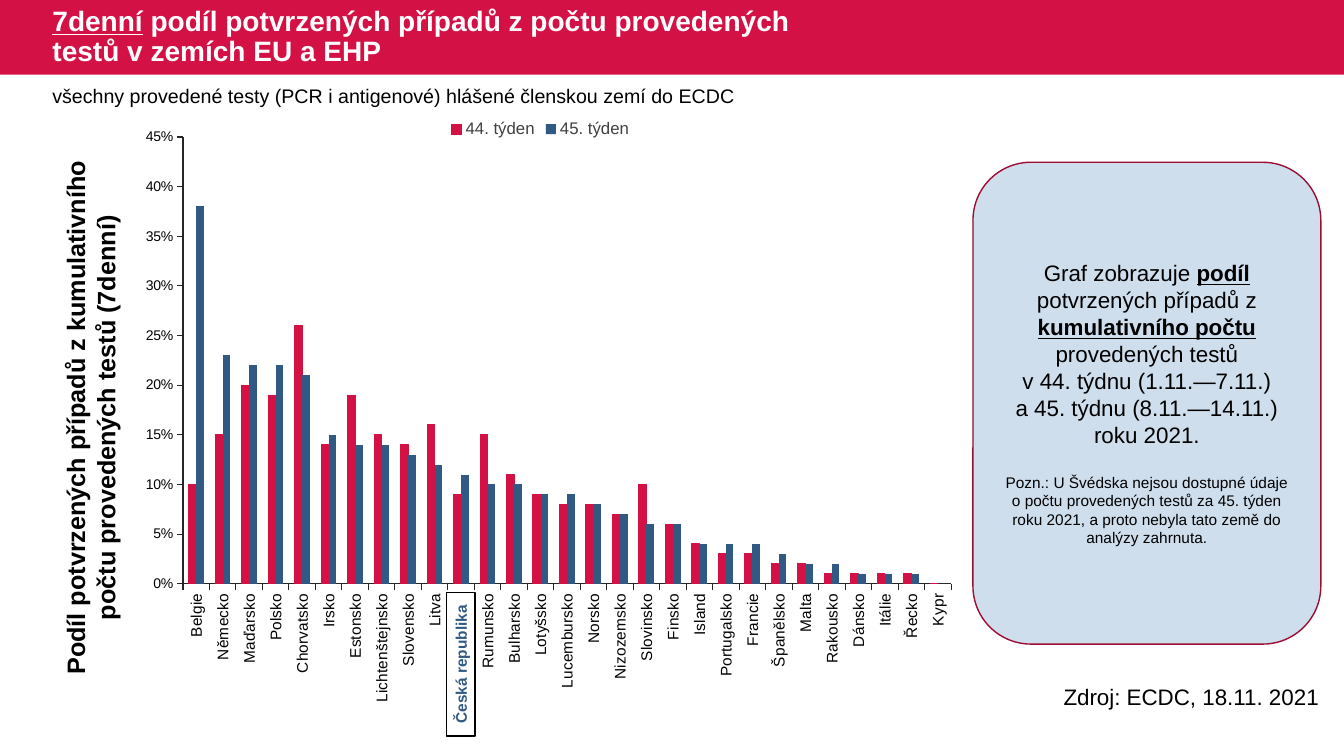
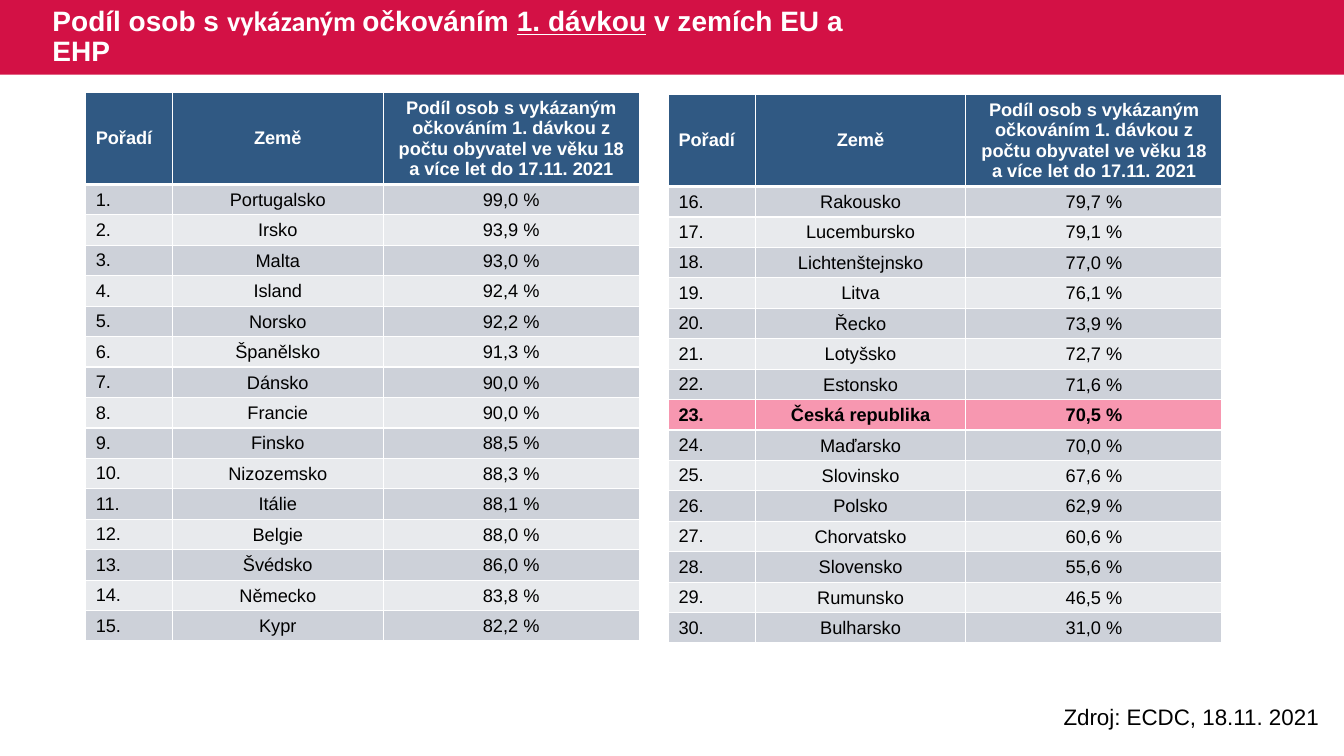
from dataclasses import dataclass
from typing import NamedTuple, Optional

from lxml import etree
from pptx import Presentation
from pptx.chart.data import CategoryChartData
from pptx.dml.color import RGBColor
from pptx.enum.chart import XL_CHART_TYPE, XL_LEGEND_POSITION, XL_TICK_MARK
from pptx.enum.shapes import MSO_SHAPE
from pptx.enum.text import MSO_ANCHOR, MSO_AUTO_SIZE, PP_ALIGN
from pptx.oxml import parse_xml
from pptx.oxml.ns import nsdecls, qn
from pptx.util import Inches, Pt

LEFT, CENTER = PP_ALIGN.LEFT, PP_ALIGN.CENTER
MIDDLE = MSO_ANCHOR.MIDDLE
COLORS = {
    "red": "D31145", "dark_red": "9C0D33", "blue": "305983", "pale_blue": "CFDEED",
    "band_dark": "CDD1D9", "band_light": "E8EAED", "highlight": "F797B0",
    "white": "FFFFFF", "black": "000000", "axis": "262626", "legend": "404040",
}
FONT = "Arial"
SOURCE = "Zdroj: ECDC, 18.11. 2021"
HOME = "Česká republika"
TITLE_ONLY_LAYOUT = 5
BAND_HEIGHT = 0.74


class Piece(NamedTuple):
    text: str
    bold: bool = False
    underline: bool = False
    font: str = FONT


class Box(NamedTuple):
    left: float
    top: float
    width: float
    height: float

    def lengths(self) -> tuple:
        return tuple(Inches(value) for value in self)


class Infection(NamedTuple):
    country: str
    week_44: int
    week_45: int


class Vaccination(NamedTuple):
    country: str
    share: str


@dataclass
class Ranking:
    left: float
    top: float
    first_rank: int
    rows: list[Vaccination]


INFECTIONS = [Infection(*row) for row in [
    ("Belgie", 10, 38), ("Německo", 15, 23), ("Maďarsko", 20, 22), ("Polsko", 19, 22),
    ("Chorvatsko", 26, 21), ("Irsko", 14, 15), ("Estonsko", 19, 14),
    ("Lichtenštejnsko", 15, 14), ("Slovensko", 14, 13), ("Litva", 16, 12),
    (HOME, 9, 11), ("Rumunsko", 15, 10), ("Bulharsko", 11, 10), ("Lotyšsko", 9, 9),
    ("Lucembursko", 8, 9), ("Norsko", 8, 8), ("Nizozemsko", 7, 7), ("Slovinsko", 10, 6),
    ("Finsko", 6, 6), ("Island", 4, 4), ("Portugalsko", 3, 4), ("Francie", 3, 4),
    ("Španělsko", 2, 3), ("Malta", 2, 2), ("Rakousko", 1, 2), ("Dánsko", 1, 1),
    ("Itálie", 1, 1), ("Řecko", 1, 1), ("Kypr", 0, 0),
]]
VACCINATIONS = [Vaccination(*row) for row in [
    ("Portugalsko", "99,0 %"), ("Irsko", "93,9 %"), ("Malta", "93,0 %"),
    ("Island", "92,4 %"), ("Norsko", "92,2 %"), ("Španělsko", "91,3 %"),
    ("Dánsko", "90,0 %"), ("Francie", "90,0 %"), ("Finsko", "88,5 %"),
    ("Nizozemsko", "88,3 %"), ("Itálie", "88,1 %"), ("Belgie", "88,0 %"),
    ("Švédsko", "86,0 %"), ("Německo", "83,8 %"), ("Kypr", "82,2 %"),
    ("Rakousko", "79,7 %"), ("Lucembursko", "79,1 %"), ("Lichtenštejnsko", "77,0 %"),
    ("Litva", "76,1 %"), ("Řecko", "73,9 %"), ("Lotyšsko", "72,7 %"),
    ("Estonsko", "71,6 %"), (HOME, "70,5 %"), ("Maďarsko", "70,0 %"),
    ("Slovinsko", "67,6 %"), ("Polsko", "62,9 %"), ("Chorvatsko", "60,6 %"),
    ("Slovensko", "55,6 %"), ("Rumunsko", "46,5 %"), ("Bulharsko", "31,0 %"),
]]
RANKINGS = [
    Ranking(0.85, 0.92, 1, VACCINATIONS[:15]),
    Ranking(6.63, 0.94, 16, VACCINATIONS[15:]),
]
TABLE_HEADER = ("Pořadí", "Země", "Podíl osob s vykázaným očkováním 1. dávkou z počtu "
                "obyvatel ve věku 18 a více let do 17.11. 2021")
COLUMN_WIDTHS = (0.86, 2.09, 2.54)
HEADER_HEIGHT, ROW_HEIGHT = 0.91, 0.3


def rgb(name: str) -> RGBColor:
    return RGBColor.from_string(COLORS[name])


def style_font(font, size: float, color: str, name: str = FONT, bold: bool = False) -> None:
    font.size, font.name, font.bold = Pt(size), name, bold
    font.color.rgb = rgb(color)


def write(paragraph, *pieces: Piece, size: float, color: str = "black",
          align: PP_ALIGN = LEFT, line_spacing: Optional[float] = None,
          space_before: float = 0) -> None:
    paragraph.alignment = align
    paragraph.space_before = Pt(space_before)
    if line_spacing:
        paragraph.line_spacing = line_spacing
    for piece in pieces:
        run = paragraph.add_run()
        run.text = piece.text
        style_font(run.font, size, color, piece.font, piece.bold)
        run.font.underline = piece.underline


def add_text(slide, box: Box, piece: Piece, rotation: float = 0, **text_format) -> None:
    shape = slide.shapes.add_textbox(*box.lengths())
    shape.rotation = rotation
    shape.text_frame.word_wrap = True
    write(shape.text_frame.paragraphs[0], piece, **text_format)


def add_panel(slide, kind: MSO_SHAPE, box: Box, fill: str, line: Optional[str] = None):
    shape = slide.shapes.add_shape(kind, *box.lengths())
    shape.shadow.inherit = False
    shape.fill.solid()
    shape.fill.fore_color.rgb = rgb(fill)
    if line:
        shape.line.color.rgb = rgb(line)
        shape.line.width = Pt(1)
    else:
        shape.line.fill.background()
    shape.text_frame.word_wrap = True
    shape.text_frame.vertical_anchor = MIDDLE
    return shape


def prepare_layout(presentation, slide) -> None:
    """Put the red band and the title position into the layout of the slide."""
    layout = slide.slide_layout
    width = presentation.slide_width.inches
    band = add_panel(slide, MSO_SHAPE.RECTANGLE, Box(0, 0, width, BAND_HEIGHT), "red")
    layout.shapes.element.insert(2, band.element)
    title = next(item for item in layout.placeholders if item.placeholder_format.idx == 0)
    title.left, title.top, title.width, title.height = Box(
        0.42, 0, 8.16, BAND_HEIGHT).lengths()


def set_title(slide, *pieces: Piece) -> None:
    frame = slide.shapes.title.text_frame
    frame.auto_size = MSO_AUTO_SIZE.NONE
    frame.vertical_anchor = MIDDLE
    write(frame.paragraphs[0], *pieces, size=20, color="white", line_spacing=0.9)


def add_source(slide, top: float) -> None:
    add_text(slide, Box(10.45, top, 2.83, 0.37), Piece(SOURCE), size=16)


def style_axis(axis, size: float) -> None:
    axis.has_major_gridlines = False
    axis.major_tick_mark = XL_TICK_MARK.OUTSIDE
    axis.minor_tick_mark = XL_TICK_MARK.NONE
    axis.format.line.color.rgb = rgb("axis")
    axis.format.line.width = Pt(0.75)
    style_font(axis.tick_labels.font, size, "black")


def set_plot_area(chart, box: Box) -> None:
    """Place the inner plot area, in fractions of the chart."""
    plot_area = chart.element.find(".//" + qn("c:plotArea"))
    for old_layout in plot_area.findall(qn("c:layout")):
        plot_area.remove(old_layout)
    layout = parse_xml(f"<c:layout {nsdecls('c')}/>")
    manual = etree.SubElement(layout, qn("c:manualLayout"))
    settings = [("layoutTarget", "inner"), ("xMode", "edge"), ("yMode", "edge")]
    for tag, value in settings + list(zip("xywh", box)):
        etree.SubElement(manual, qn(f"c:{tag}")).set("val", str(value))
    plot_area.insert(0, layout)


def add_infection_chart(slide) -> None:
    data = CategoryChartData(number_format="0%")
    data.categories = [row.country for row in INFECTIONS]
    data.add_series("44. týden", [row.week_44 / 100 for row in INFECTIONS])
    data.add_series("45. týden", [row.week_45 / 100 for row in INFECTIONS])
    chart = slide.shapes.add_chart(XL_CHART_TYPE.COLUMN_CLUSTERED,
                                   *Box(1.16, 1.08, 8.4, 5.95).lengths(), data).chart
    style_font(chart.font, 10, "legend")
    chart.has_title = False
    chart.has_legend = True
    chart.legend.position = XL_LEGEND_POSITION.TOP
    chart.legend.include_in_layout = False
    style_font(chart.legend.font, 12, "legend")

    plot = chart.plots[0]
    plot.vary_by_categories = False
    plot.gap_width, plot.overlap = 150, 0
    for series, color in zip(plot.series, ("red", "blue")):
        series.format.fill.solid()
        series.format.fill.fore_color.rgb = rgb(color)
    red_line = plot.series[0].format.line
    red_line.color.rgb = rgb("red")
    red_line.width = Pt(0.75)

    style_axis(chart.category_axis, 11)
    style_axis(chart.value_axis, 10)
    chart.value_axis.minimum_scale, chart.value_axis.maximum_scale = 0, 0.45
    chart.value_axis.major_unit = 0.05
    chart.value_axis.tick_labels.number_format = "0%"
    chart.value_axis.tick_labels.number_format_is_linked = False
    label_body = chart.element.find(f".//{qn('c:catAx')}/{qn('c:txPr')}/{qn('a:bodyPr')}")
    label_body.set("rot", "-5400000")
    label_body.set("vert", "horz")
    set_plot_area(chart, Box(0.078, 0.047, 0.907, 0.745))


def add_explanation(slide) -> None:
    panel = add_panel(slide, MSO_SHAPE.ROUNDED_RECTANGLE, Box(9.65, 1.61, 3.45, 4.78),
                      "pale_blue", "dark_red")
    frame = panel.text_frame
    write(frame.paragraphs[0], Piece("Graf zobrazuje "), Piece("podíl", True, True),
          Piece(" potvrzených případů z "), Piece("kumulativního počtu", True, True),
          Piece(" provedených testů"), size=16, align=CENTER)
    for text in ("v 44. týdnu (1.11.—7.11.)", "a 45. týdnu (8.11.—14.11.) roku 2021."):
        write(frame.add_paragraph(), Piece(text), size=16, align=CENTER)
    write(frame.add_paragraph(),
          Piece("Pozn.: U Švédska nejsou dostupné údaje o počtu provedených testů za "
                "45. týden roku 2021, a proto nebyla tato země do analýzy zahrnuta."),
          size=11, align=CENTER, space_before=18)


def set_borders(cell, top: float = 1, bottom: float = 1) -> None:
    properties = cell._tc.get_or_add_tcPr()
    for side, width in (("L", 1), ("R", 1), ("T", top), ("B", bottom)):
        properties.append(parse_xml(
            f'<a:ln{side} {nsdecls("a")} w="{Pt(width)}"><a:solidFill>'
            f'<a:srgbClr val="{COLORS["white"]}"/></a:solidFill></a:ln{side}>'))


def add_ranking(slide, ranking: Ranking) -> None:
    rows = [TABLE_HEADER] + [(f"{rank}.", *row)
                             for rank, row in enumerate(ranking.rows, ranking.first_rank)]
    box = Box(ranking.left, ranking.top, sum(COLUMN_WIDTHS),
              HEADER_HEIGHT + ROW_HEIGHT * len(ranking.rows))
    table = slide.shapes.add_table(len(rows), len(COLUMN_WIDTHS), *box.lengths()).table
    table.horz_banding = False
    for column, width in zip(table.columns, COLUMN_WIDTHS):
        column.width = Inches(width)
    for row_index, texts in enumerate(rows):
        is_header, is_home = row_index == 0, HOME in texts
        table.rows[row_index].height = Inches(HEADER_HEIGHT if is_header else ROW_HEIGHT)
        band = "band_dark" if row_index % 2 else "band_light"
        fill = "blue" if is_header else "highlight" if is_home else band
        for column_index, text in enumerate(texts):
            cell = table.cell(row_index, column_index)
            set_borders(cell, top=3 if row_index == 1 else 1, bottom=3 if is_header else 1)
            cell.fill.solid()
            cell.fill.fore_color.rgb = rgb(fill)
            cell.vertical_anchor = MIDDLE
            if column_index and not is_header:
                cell.margin_left = cell.margin_right = cell.margin_top = Inches(0.01)
                cell.margin_bottom = 0
            write(cell.text_frame.paragraphs[0], Piece(text, bold=is_header or is_home),
                  size=13, color="white" if is_header else "black",
                  align=CENTER if column_index else LEFT)


def build_infection_slide(slide) -> None:
    set_title(slide, Piece("7denní", True, True),
              Piece(" podíl potvrzených případů z počtu provedených testů v zemích EU a EHP", True))
    add_source(slide, 6.73)
    add_text(slide, Box(-1.81, 3.79, 5.42, 0.71),
             Piece("Podíl potvrzených případů z kumulativního počtu provedených testů (7denní)",
                   bold=True), rotation=270, size=18, align=CENTER)
    add_infection_chart(slide)
    add_explanation(slide)
    home_label = add_panel(slide, MSO_SHAPE.RECTANGLE, Box(3.86, 6.45, 1.42, 0.28),
                           "white", "black")
    home_label.rotation = 270
    write(home_label.text_frame.paragraphs[0], Piece(HOME, bold=True),
          size=11, color="blue", align=CENTER)
    add_text(slide, Box(0.42, 0.78, 12.59, 0.34),
             Piece("všechny provedené testy (PCR i antigenové) hlášené členskou zemí do ECDC"),
             size=14)


def build_vaccination_slide(slide) -> None:
    set_title(slide, Piece("Podíl osob s ", True), Piece("vykázaným ", True, font="Calibri"),
              Piece("očkováním ", True), Piece("1. dávkou", True, True),
              Piece(" v zemích EU a EHP", True))
    for ranking in RANKINGS:
        add_ranking(slide, ranking)
    add_source(slide, 6.93)


def main() -> None:
    presentation = Presentation()
    presentation.slide_width, presentation.slide_height = Inches(13.33), Inches(7.5)
    layout = presentation.slide_layouts[TITLE_ONLY_LAYOUT]
    infection_slide, vaccination_slide = (presentation.slides.add_slide(layout) for _ in range(2))
    prepare_layout(presentation, infection_slide)
    build_infection_slide(infection_slide)
    build_vaccination_slide(vaccination_slide)
    presentation.save("out.pptx")


if __name__ == "__main__":
    main()
